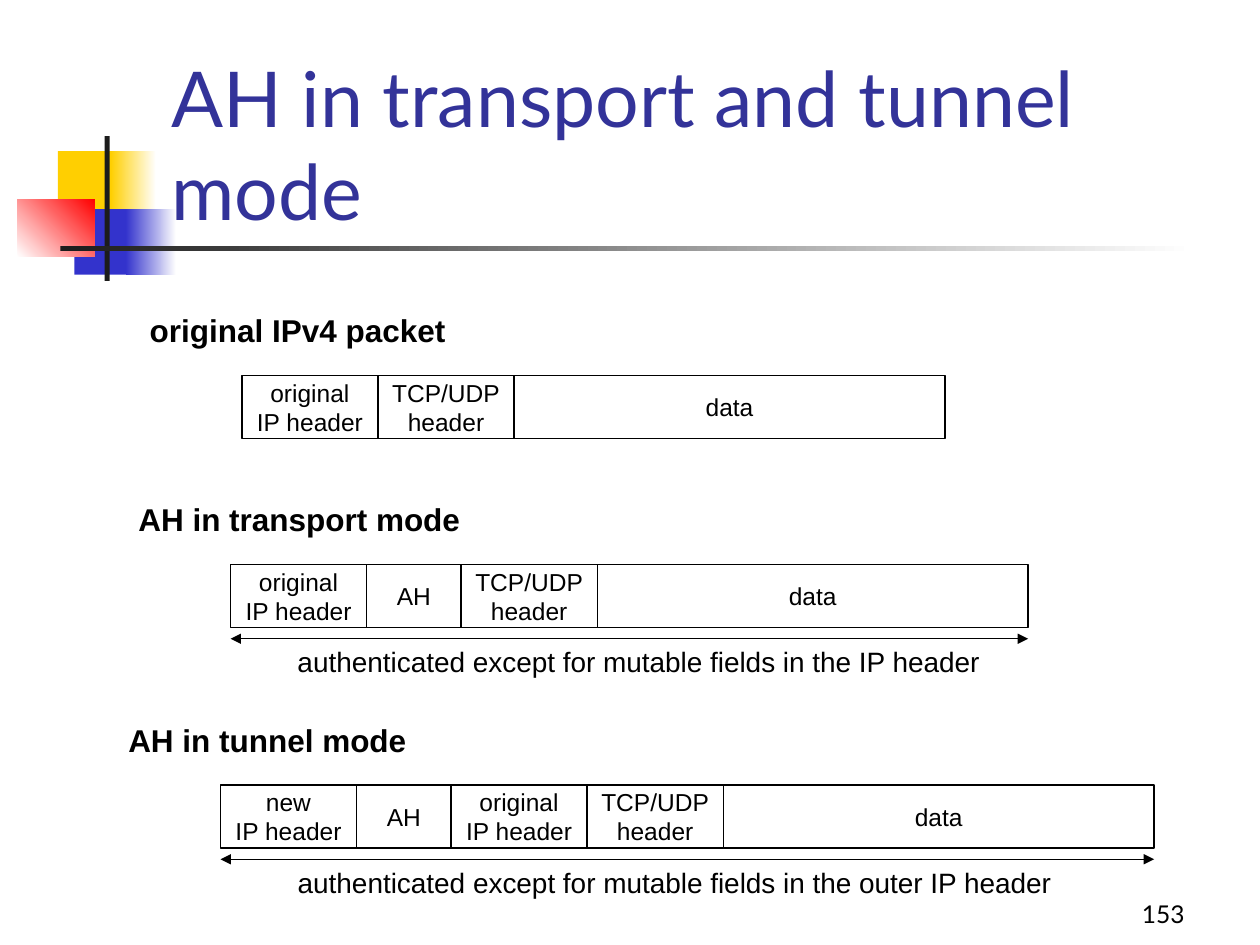
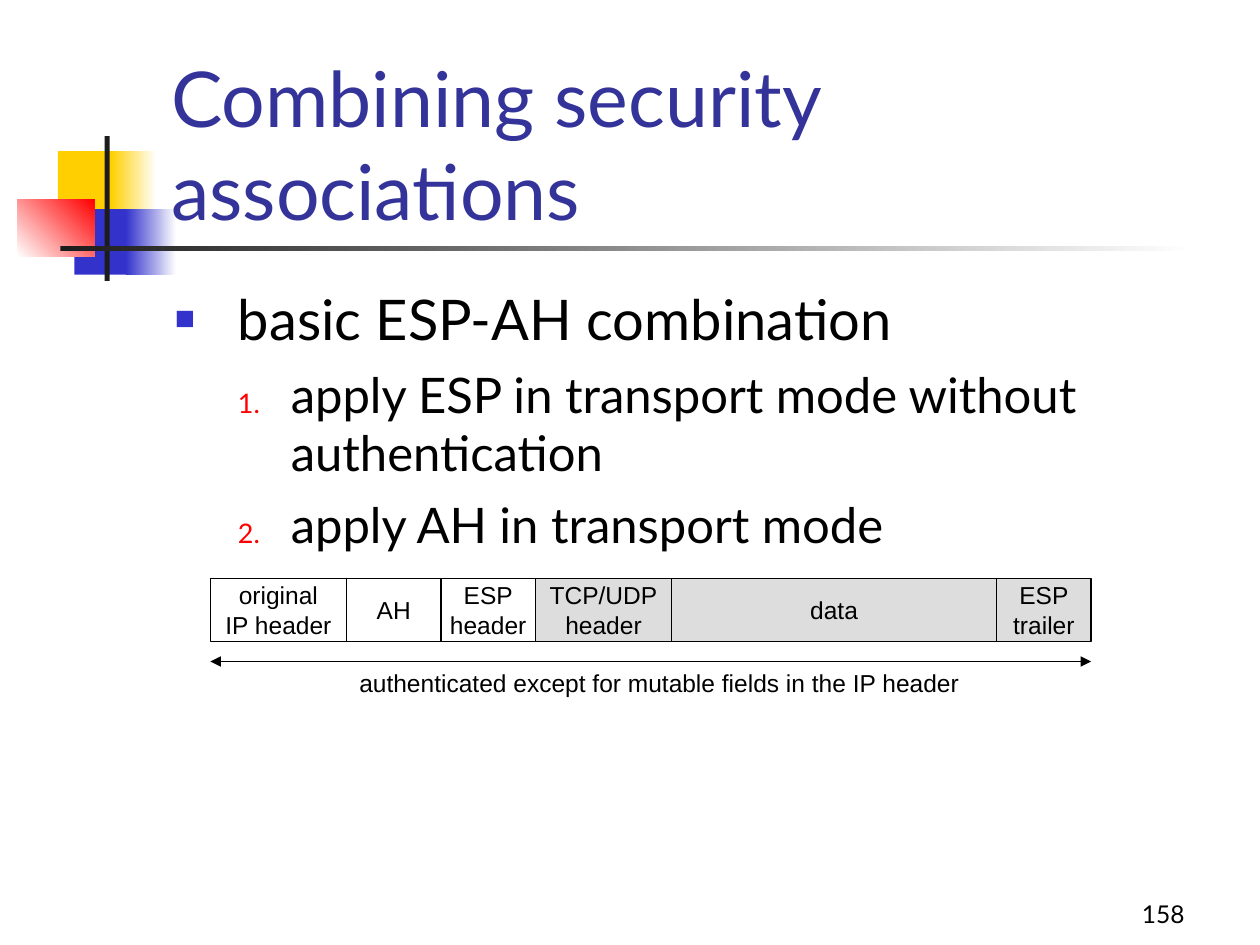
"""Build two slides on IPsec packet layouts and combined security associations."""

from dataclasses import dataclass
from typing import NamedTuple

import lxml.etree
import pptx
import pptx.dml.color
import pptx.enum.shapes
import pptx.enum.text
import pptx.oxml.ns
import pptx.presentation
import pptx.shapes.autoshape
import pptx.slide
import pptx.text.text
import pptx.util

Inches = pptx.util.Inches
Color = pptx.dml.color.RGBColor
Align = pptx.enum.text.PP_ALIGN
Anchor = pptx.enum.text.MSO_ANCHOR

BLACK = Color(0x00, 0x00, 0x00)
WHITE = Color(0xFF, 0xFF, 0xFF)
CHARCOAL = Color(0x1C, 0x1C, 0x1C)
GRAY = Color(0xDD, 0xDD, 0xDD)
YELLOW = Color(0xFF, 0xCF, 0x01)
BLUE = Color(0x33, 0x33, 0xCC)
RED = Color(0xFF, 0x00, 0x00)
TITLE_BLUE = Color(0x33, 0x33, 0x99)

TITLE_FONT = "Lato"
DIAGRAM_FONT = "Arial"
FIELD_HEIGHT = 0.5


class Area(NamedTuple):
    """Left, top, width and height in inches."""

    left: float
    top: float
    width: float
    height: float


class Style(NamedTuple):
    """Font and paragraph settings of a text."""

    font: str
    size: float
    color: Color = BLACK
    bold: bool = False
    align: Align = Align.LEFT


class Decoration(NamedTuple):
    """A band of the shared slide design, solid or fading to a second colour."""

    area: Area
    color: Color
    fade: Color | None = None
    angle: float = 0


class Field(NamedTuple):
    """One field of a packet."""

    text: str
    width: float
    fill: Color = WHITE


class Caption(NamedTuple):
    """A text under the arrow that spans a packet."""

    text: str
    area: Area
    size: float
    arrow_top: float


class Bullet(NamedTuple):
    """An outline entry, with its marker and indents."""

    text: str
    level: int
    size: float
    before: float
    left: float
    hanging: float
    marker_color: Color
    marker_percent: int
    marker: str | None = None


@dataclass
class Packet:
    """A row of fields with an optional heading and caption."""

    left: float
    top: float
    fields: list[Field]
    heading: str = ""
    caption: Caption | None = None


DECORATIONS = [
    Decoration(Area(0.46, 1.2, 0.48, 0.52), YELLOW),
    Decoration(Area(0.88, 1.2, 0.36, 0.52), YELLOW, WHITE),
    Decoration(Area(0.59, 1.66, 0.46, 0.52), BLUE),
    Decoration(Area(1, 1.66, 0.4, 0.52), BLUE, WHITE),
    Decoration(Area(0.14, 1.58, 0.61, 0.46), WHITE, RED, 45),
    Decoration(Area(0.83, 1.08, 0.04, 1.15), CHARCOAL),
    Decoration(Area(0.48, 1.95, 9, 0.04), CHARCOAL, WHITE),
]

TITLE_STYLE = Style(TITLE_FONT, 44, TITLE_BLUE)
NUMBER_STYLE = Style(TITLE_FONT, 14, align=Align.RIGHT)
FIELD_STYLE = Style(DIAGRAM_FONT, 14, align=Align.CENTER)
HEADING_STYLE = Style(DIAGRAM_FONT, 18, bold=True)

ORIGINAL_HEADER = Field("original\nIP header", 1.08)
NEW_HEADER = Field("new\nIP header", 1.08)
AH = Field("AH", 0.75)
TCP_HEADER = Field("TCP/UDP\nheader", 1.08)
DATA = Field("data", 3.42)

AUTHENTICATED = "authenticated except for mutable fields in the IP header"
AUTHENTICATED_OUTER = "authenticated except for mutable fields in the outer IP header"

MODE_PACKETS = [
    Packet(1.92, 2.98, [ORIGINAL_HEADER, TCP_HEADER, DATA], "original IPv4 packet"),
    Packet(
        1.83, 4.48, [ORIGINAL_HEADER, AH, TCP_HEADER, DATA], "AH in transport mode",
        Caption(AUTHENTICATED, Area(2.26, 5.07, 5.62, 0.37), 16, 5.07),
    ),
    Packet(
        1.75, 6.23, [NEW_HEADER, AH, ORIGINAL_HEADER, TCP_HEADER, DATA], "AH in tunnel mode",
        Caption(AUTHENTICATED_OUTER, Area(2.26, 6.82, 6.19, 0.37), 16, 6.82),
    ),
]

COMBINED_PACKET = Packet(
    1.67, 4.59,
    [
        ORIGINAL_HEADER,
        AH,
        Field("ESP\nheader", 0.75),
        TCP_HEADER._replace(fill=GRAY),
        Field("data", 2.58, GRAY),
        Field("ESP\ntrailer", 0.75, GRAY),
    ],
    caption=Caption(AUTHENTICATED, Area(2.75, 5.25, 4.97, 0.34), 14, 5.25),
)

STEP = Bullet("", 1, 28, 7, 0.92, 0.42, RED, 55)
COMBINATION_BULLETS = [
    Bullet("basic ESP-AH combination", 0, 32, 0, 0.5, 0.5, BLUE, 60, "■"),
    STEP._replace(text="apply ESP in transport mode without authentication"),
    STEP._replace(text="apply AH in transport mode"),
]


def inches(area: Area) -> list[pptx.util.Length]:
    """Convert an area to lengths."""
    return [Inches(value) for value in area]


def add_element(parent: lxml.etree._Element, tag: str, **attributes: str) -> lxml.etree._Element:
    """Append a DrawingML element."""
    return lxml.etree.SubElement(parent, pptx.oxml.ns.qn(f"a:{tag}"), attributes)


def style_paragraph(para: pptx.text.text._Paragraph, style: Style) -> None:
    """Apply a style to a paragraph."""
    para.alignment = style.align
    para.font.name = style.font
    para.font.size = pptx.util.Pt(style.size)
    para.font.bold = style.bold
    para.font.color.rgb = style.color


def write(frame: pptx.text.text.TextFrame, text: str, style: Style, anchor: Anchor, wrap: bool) -> None:
    """Fill a text frame, one paragraph a line."""
    frame.text = text
    frame.word_wrap = wrap
    frame.vertical_anchor = anchor
    for para in frame.paragraphs:
        style_paragraph(para, style)


def add_text(
    page: pptx.slide.Slide, area: Area, text: str, style: Style,
    anchor: Anchor = Anchor.TOP, wrap: bool = True,
) -> None:
    """Add a text box."""
    box = page.shapes.add_textbox(*inches(area))
    write(box.text_frame, text, style, anchor, wrap)


def add_rectangle(page: pptx.slide.Slide, area: Area) -> pptx.shapes.autoshape.Shape:
    """Add a rectangle without a shadow."""
    box = page.shapes.add_shape(pptx.enum.shapes.MSO_SHAPE.RECTANGLE, *inches(area))
    box.shadow.inherit = False
    return box


def add_decoration(page: pptx.slide.Slide, decoration: Decoration) -> None:
    """Draw one band of the shared design."""
    box = add_rectangle(page, decoration.area)
    box.line.fill.background()
    if decoration.fade is None:
        box.fill.solid()
        box.fill.fore_color.rgb = decoration.color
        return
    box.fill.gradient()
    box.fill.gradient_angle = decoration.angle
    for stop, color in zip(box.fill.gradient_stops, (decoration.color, decoration.fade)):
        stop.color.rgb = color


def add_field(page: pptx.slide.Slide, field: Field, left: float, top: float) -> None:
    """Draw one packet field."""
    box = add_rectangle(page, Area(left, top, field.width, FIELD_HEIGHT))
    box.fill.solid()
    box.fill.fore_color.rgb = field.fill
    box.line.color.rgb = BLACK
    box.line.width = pptx.util.Pt(0.75)
    write(box.text_frame, field.text, FIELD_STYLE, Anchor.MIDDLE, False)


def add_span_arrow(page: pptx.slide.Slide, left: float, right: float, top: float) -> None:
    """Draw a horizontal arrow with two heads."""
    arrow = page.shapes.add_connector(
        pptx.enum.shapes.MSO_CONNECTOR.STRAIGHT, Inches(left), Inches(top), Inches(right), Inches(top)
    )
    arrow.line.color.rgb = BLACK
    arrow.line.width = pptx.util.Pt(0.75)
    for end in ("headEnd", "tailEnd"):
        add_element(arrow.line._get_or_add_ln(), end, type="triangle")
    add_element(arrow._element.spPr, "effectLst")


def add_packet(page: pptx.slide.Slide, packet: Packet) -> None:
    """Draw a packet with its heading, arrow and caption."""
    if packet.heading:
        area = Area(packet.left - 0.83, packet.top - 0.56, 3, 0.4)
        add_text(page, area, packet.heading, HEADING_STYLE)
    left = packet.left
    for field in packet.fields:
        add_field(page, field, left, packet.top)
        left += field.width
    if packet.caption:
        caption = packet.caption
        add_span_arrow(page, packet.left, left, caption.arrow_top)
        add_text(page, caption.area, caption.text, FIELD_STYLE._replace(size=caption.size), wrap=False)


def add_bullets(page: pptx.slide.Slide, area: Area, bullets: list[Bullet]) -> None:
    """Add an outline with bullets and numbers."""
    frame = page.shapes.add_textbox(*inches(area)).text_frame
    frame.word_wrap = True
    frame.text = "\n".join(bullet.text for bullet in bullets)
    for para, bullet in zip(frame.paragraphs, bullets):
        para.level = bullet.level
        properties = para._p.get_or_add_pPr()
        properties.set("marL", str(Inches(bullet.left)))
        properties.set("indent", str(-Inches(bullet.hanging)))
        add_element(add_element(properties, "buClr"), "srgbClr", val=str(bullet.marker_color))
        add_element(properties, "buSzPct", val=str(bullet.marker_percent * 1000))
        if bullet.marker:
            add_element(properties, "buFont", typeface=DIAGRAM_FONT)
            add_element(properties, "buChar", char=bullet.marker)
        else:
            add_element(properties, "buFont", typeface=TITLE_FONT)
            add_element(properties, "buAutoNum", type="arabicPeriod")
        if bullet.before:
            para.space_before = pptx.util.Pt(bullet.before)
        style_paragraph(para, Style(TITLE_FONT, bullet.size))


def add_page(deck: pptx.presentation.Presentation, title: str, number: int) -> pptx.slide.Slide:
    """Add a slide with the shared design, title and number."""
    page = deck.slides.add_slide(deck.slide_layouts[6])
    for decoration in DECORATIONS:
        add_decoration(page, decoration)
    add_text(page, Area(7.42, 6.92, 2.08, 0.5), str(number), NUMBER_STYLE, Anchor.BOTTOM)
    add_text(page, Area(1.26, 0.67, 8.52, 1.25), title, TITLE_STYLE, Anchor.BOTTOM)
    return page


def main() -> None:
    """Build and save the deck."""
    deck = pptx.Presentation()
    deck.slide_width, deck.slide_height = Inches(10), Inches(7.5)
    modes = add_page(deck, "AH in transport and tunnel mode", 153)
    for packet in MODE_PACKETS:
        add_packet(modes, packet)
    combining = add_page(deck, "Combining security associations", 158)
    add_bullets(combining, Area(1.29, 2.21, 8.5, 3.52), COMBINATION_BULLETS)
    add_packet(combining, COMBINED_PACKET)
    deck.save("out.pptx")


if __name__ == "__main__":
    main()
